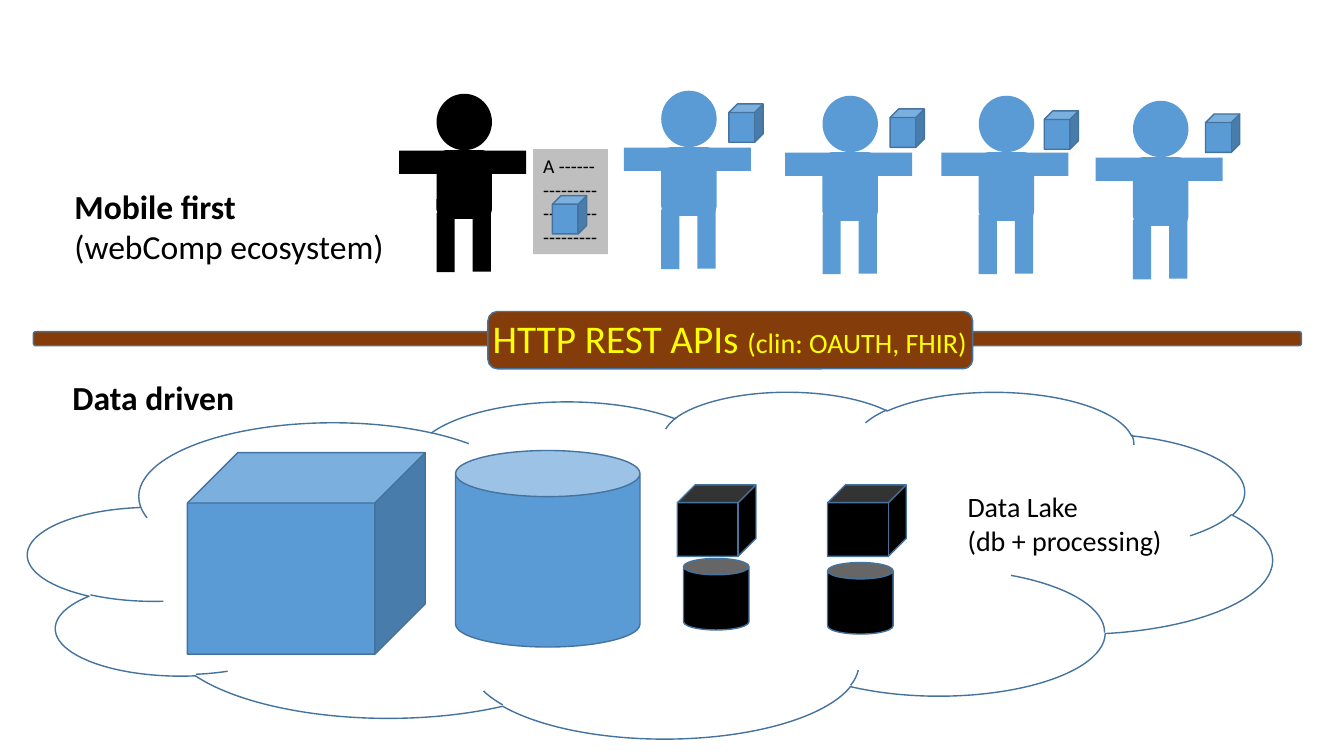
from pptx import Presentation
from pptx.dml.color import RGBColor
from pptx.enum.shapes import MSO_SHAPE
from pptx.enum.text import MSO_ANCHOR, MSO_AUTO_SIZE, PP_ALIGN
from pptx.util import Pt

RECT, ROUND, OVAL = MSO_SHAPE.RECTANGLE, MSO_SHAPE.ROUNDED_RECTANGLE, MSO_SHAPE.OVAL
CUBE, CAN, CLOUD = MSO_SHAPE.CUBE, MSO_SHAPE.CAN, MSO_SHAPE.CLOUD
LEFT, TOP = PP_ALIGN.LEFT, MSO_ANCHOR.TOP
GROW = MSO_AUTO_SIZE.SHAPE_TO_FIT_TEXT

COLORS = {
    "blue": "5B9BD5",
    "edge": "43739E",
    "black": "000000",
    "gray": "BFBFBF",
    "brown": "843C0B",
    "yellow": "FFFF00",
}


class Deck:
    font = "Calibri"

    def __init__(self, width, height):
        self.prs = Presentation()
        self.prs.slide_width, self.prs.slide_height = Pt(width), Pt(height)
        self.s = self.prs.slides.add_slide(self.prs.slide_layouts[6])

    def color(self, name):
        return RGBColor.from_string(COLORS[name])

    def group(self):
        return self.s.shapes.add_group_shape().shapes

    def shape(self, kind, x, y, w, h, fill=None, line="edge", parent=None):
        shapes = self.s.shapes if parent is None else parent
        sp = shapes.add_shape(kind, Pt(x), Pt(y), Pt(w), Pt(h))
        sp.shadow.inherit = False
        if fill:
            sp.fill.solid()
            sp.fill.fore_color.rgb = self.color(fill)
        else:
            sp.fill.background()
        if line:
            sp.line.color.rgb = self.color(line)
            sp.line.width = Pt(1)
        else:
            sp.line.fill.background()
        return sp

    def fill_text(self, sp, paragraphs, color="black"):
        tf = sp.text_frame
        tf.word_wrap = False
        tf.auto_size = GROW
        tf.vertical_anchor = TOP
        for i, runs in enumerate(paragraphs):
            p = tf.add_paragraph() if i else tf.paragraphs[0]
            p.alignment = LEFT
            for text, size, bold in runs:
                if text.startswith("\n"):
                    p.add_line_break()
                r = p.add_run()
                r.text = text.lstrip("\n")
                r.font.name = self.font
                r.font.size = Pt(size)
                r.font.bold = bold
                r.font.color.rgb = self.color(color)

    def text(self, x, y, w, h, paragraphs, color="black", parent=None):
        shapes = self.s.shapes if parent is None else parent
        sp = shapes.add_textbox(Pt(x), Pt(y), Pt(w), Pt(h))
        self.fill_text(sp, paragraphs, color)

    def person(self, x, y, fill):
        body = self.group()
        for kind, dx, dy, w, h in PERSON_PARTS:
            self.shape(kind, x + dx, y + dy, w, h, fill, None, body)

    def small_cube(self, x, y):
        self.shape(CUBE, x, y, 24.5, 27.4, "blue")


PERSON_PARTS = [
    (OVAL, 0, 0, 39.6, 40.3),
    (ROUND, 0, 40.3, 39.6, 49),
    (RECT, -26.6, 40.7, 90.7, 16.6),
    (RECT, 0, 85, 13, 42.5),
    (RECT, 25.8, 84.6, 13, 42.5),
]
USERS = [
    (472.3, 64.8, 520.6, 74.2),
    (587.5, 68.4, 635.8, 77.8),
    (699.1, 68.4, 745.9, 79.2),
    (809.3, 72, 861.1, 81.4),
]
DASHES = "---------"

deck = Deck(960, 540)
deck.shape(ROUND, 23.8, 236.9, 905.8, 10.1, "brown")

deck.person(311.8, 67, "black")
for x, y, cube_x, cube_y in USERS:
    deck.person(x, y, "blue")
    deck.small_cube(cube_x, cube_y)

paper = deck.shape(RECT, 380.9, 106.6, 53.3, 74.9, "gray", None)
deck.fill_text(paper, [
    [("A ------", 14, False), ("\n" + DASHES, 14, False)],
    [(DASHES, 14, False)],
    [(DASHES, 14, False)],
])
deck.small_cube(394.6, 139.7)

deck.shape(CAN, 325.4, 321.8, 131.8, 140.4, "blue")
deck.shape(CUBE, 133.9, 323.3, 169.9, 144, "blue")
for can_x, can_y, cube_x in [(488.2, 398.9, 483.8), (591.1, 401.8, 591.1)]:
    deck.shape(CAN, can_x, can_y, 46.8, 51.1, "black")
    deck.shape(CUBE, cube_x, 346.3, 56.2, 51.1, "black")
deck.shape(CLOUD, 20.2, 279.4, 888.5, 247.7)

banner = deck.group()
deck.shape(ROUND, 348.5, 222.5, 346.3, 41, "brown", parent=banner)
deck.text(344.9, 221, 357.1, 41,
          [[("HTTP REST APIs ", 28, False), ("(clin: OAUTH, FHIR)", 20, False)]],
          "yellow", banner)

deck.text(684, 346.3, 154.8, 55.4,
          [[("Data Lake", 20, False)], [("(db + processing)", 20, False)]])
deck.text(46.1, 128.9, 237.6, 65.5,
          [[("Mobile first", 24, True)], [("(webComp ecosystem)", 24, False)]])
deck.text(44.6, 265.7, 131, 36, [[("Data driven", 24, True)]])
deck.prs.save("out.pptx")
